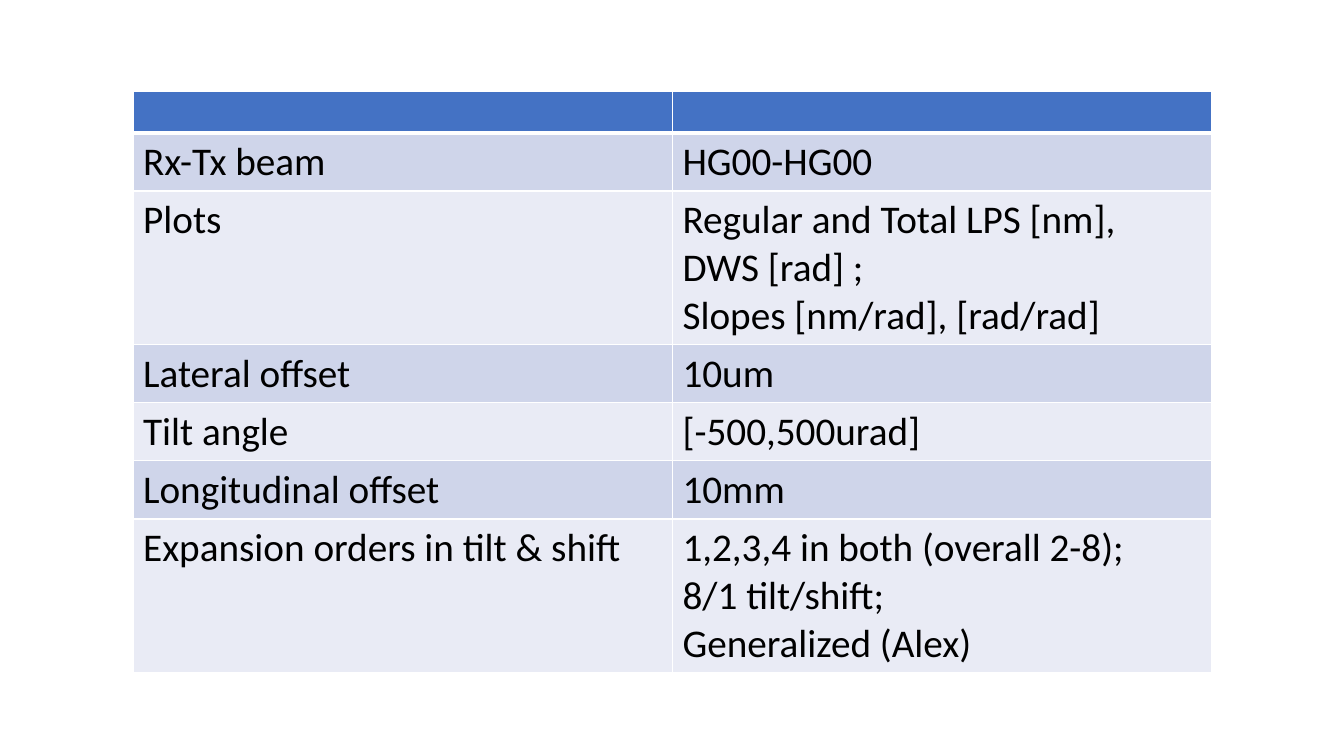
from lxml import etree
from pptx import Presentation
from pptx.dml.color import RGBColor
from pptx.oxml.ns import qn
from pptx.util import Inches, Pt

FONT = "Calibri"
HEADER_FILL = "4472C4"
BAND_FILLS = ["CFD5EA", "E9EBF5"]
RULE_COLOR = "FFFFFF"
ROW_HEIGHT = 0.41  # minimum; rows grow with their text

SETTINGS = [
    ("", ""),
    ("Rx-Tx beam", "HG00-HG00"),
    ("Plots", "Regular and Total LPS [nm],\nDWS [rad] ;\nSlopes [nm/rad], [rad/rad]"),
    ("Lateral offset", "10um"),
    ("Tilt angle", "[-500,500urad]"),
    ("Longitudinal offset", "10mm"),
    ("Expansion orders in tilt & shift",
     "1,2,3,4 in both (overall 2-8);\n8/1 tilt/shift;\nGeneralized (Alex)"),
]


def color(hex_string):
    return RGBColor.from_string(hex_string)


def add_borders(cell, top, bottom):
    properties = cell._tc.get_or_add_tcPr()
    for side, width in (("L", 1), ("R", 1), ("T", top), ("B", bottom)):
        line = etree.SubElement(properties, qn(f"a:ln{side}"), w=str(Pt(width)))
        fill = etree.SubElement(line, qn("a:solidFill"))
        etree.SubElement(fill, qn("a:srgbClr"), val=RULE_COLOR)


def style_cell(cell, content, row):
    # Borders, with a thick rule under the header
    add_borders(cell, top=3 if row == 1 else 1, bottom=3 if row == 0 else 1)

    # Header or banded fill
    cell.fill.solid()
    cell.fill.fore_color.rgb = color(BAND_FILLS[(row - 1) % 2] if row else HEADER_FILL)

    # Text
    cell.text_frame.text = content
    for paragraph in cell.text_frame.paragraphs:
        for run in paragraph.runs:
            run.font.name = FONT
            run.font.size = Pt(28)
            run.font.bold = False
            run.font.color.rgb = color("000000")


def add_settings_table(slide, left, top, width, height):
    frame = slide.shapes.add_table(
        len(SETTINGS), len(SETTINGS[0]),
        Inches(left), Inches(top), Inches(width), Inches(height))
    settings = frame.table
    for row, contents in enumerate(SETTINGS):
        settings.rows[row].height = Inches(ROW_HEIGHT)
        for column, content in enumerate(contents):
            style_cell(settings.cell(row, column), content, row)
    frame.height = Inches(height)


def main():
    deck = Presentation()
    deck.slide_width, deck.slide_height = Inches(13.33), Inches(7.5)
    slide = deck.slides.add_slide(deck.slide_layouts[6])
    add_settings_table(slide, 1.32, 0.91, 10.7, 5.67)
    deck.save("out.pptx")


if __name__ == "__main__":
    main()
